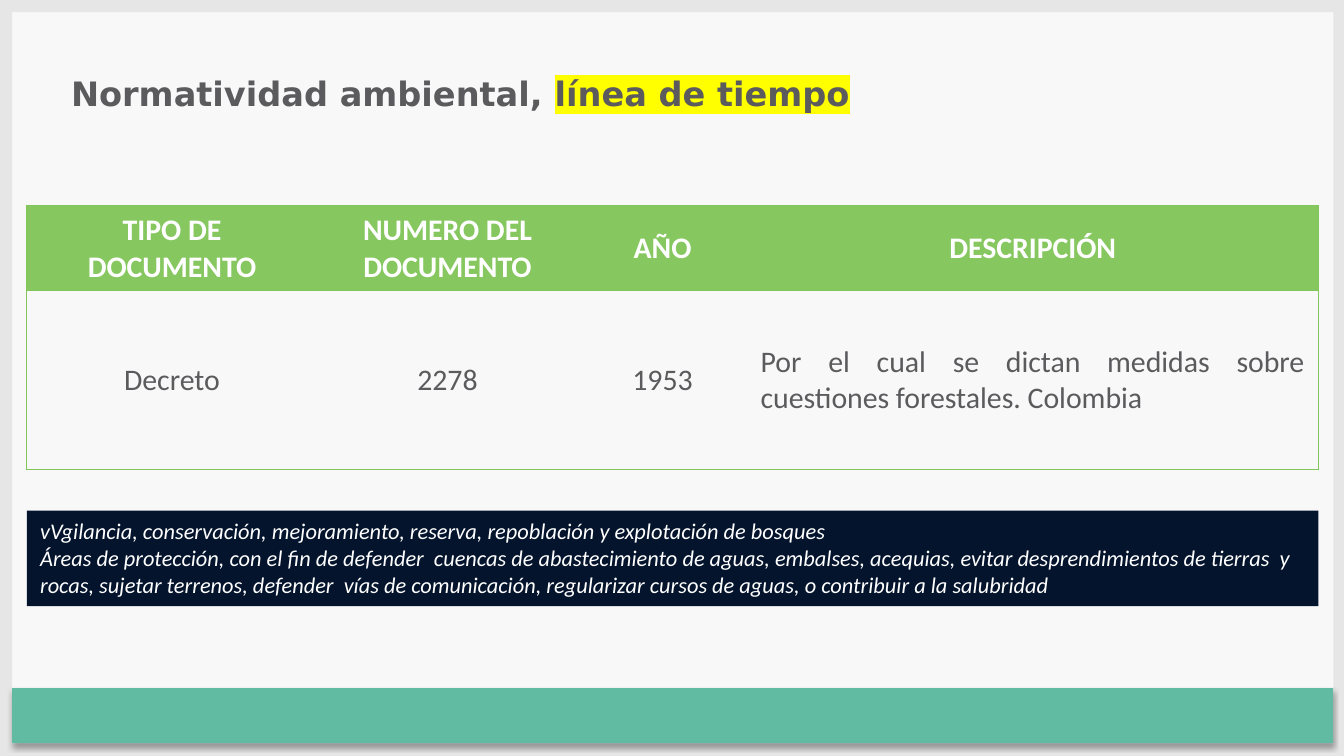
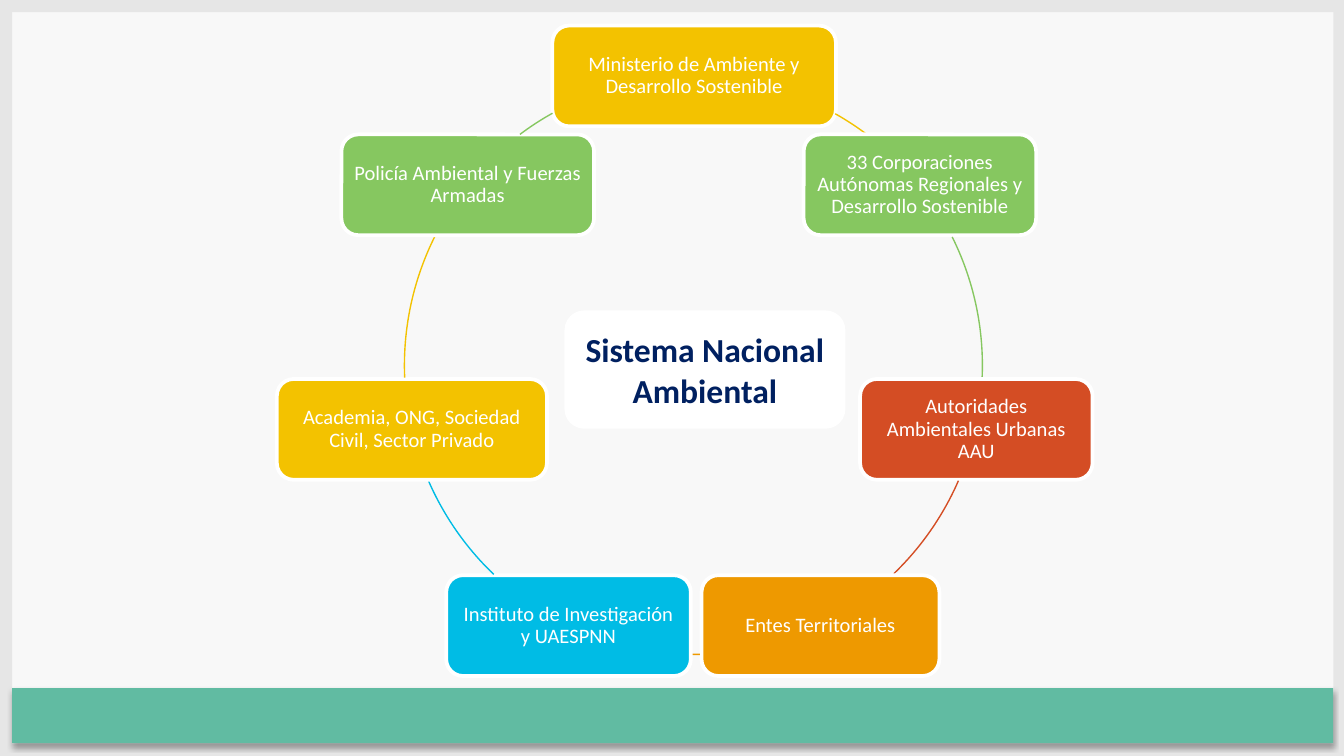
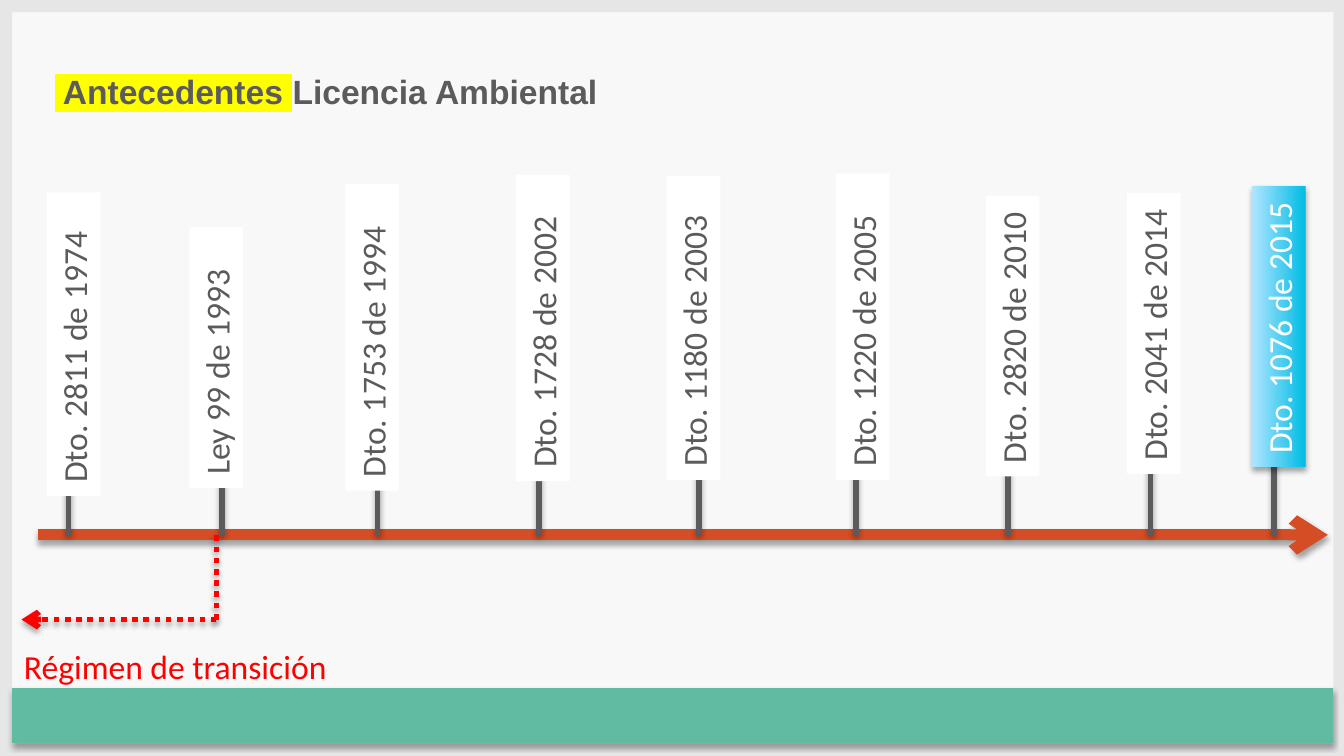
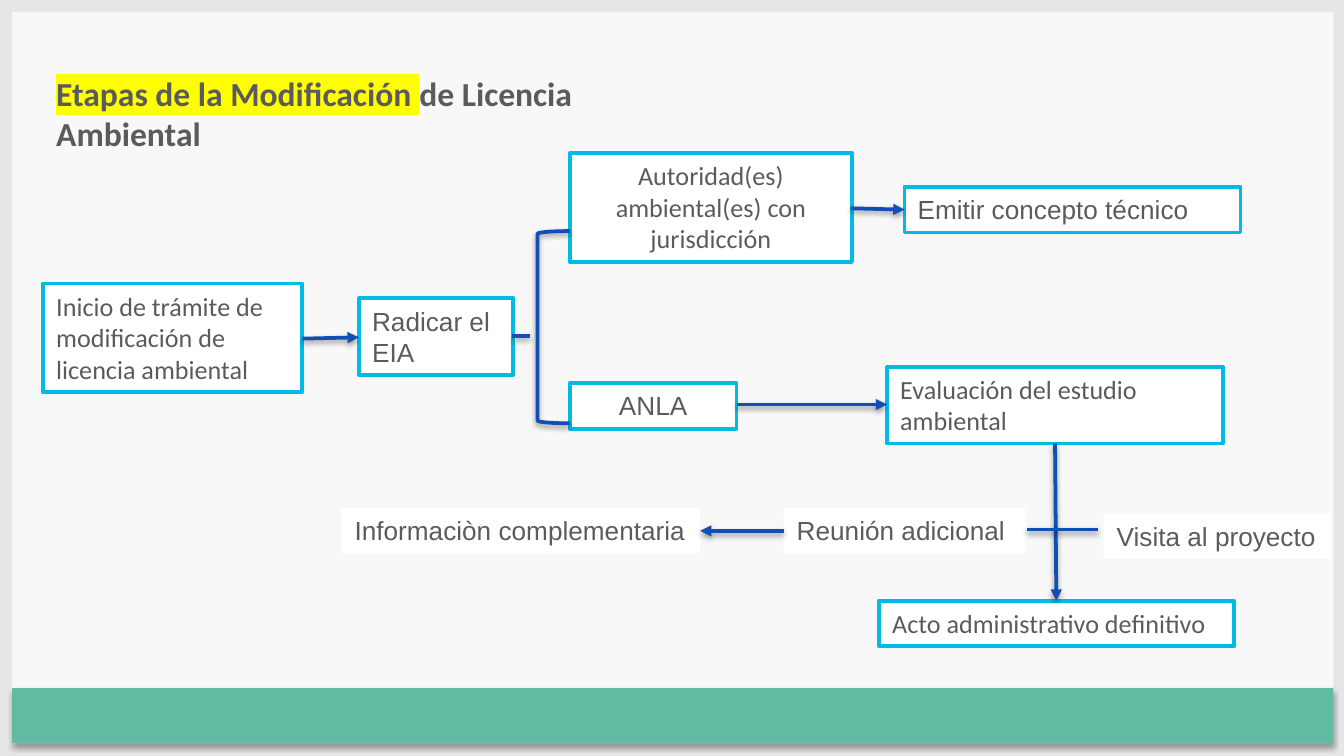
import lxml.etree
import pptx
import pptx.dml.color
import pptx.enum.dml
import pptx.enum.shapes
import pptx.enum.text
import pptx.oxml
import pptx.oxml.ns
import pptx.util

PX = 9144  # EMU in one px, 100 px to the inch
WIDTH, HEIGHT = 1000, 1000 * 9 / 16

# Shared colours
PAPER, FRAME, BAND = "F8F8F8", "E6E6E6", "61BBA2"
WHITE, GREY, NAVY, INK = "FFFFFF", "5B5B5E", "002060", "04142D"
GREEN, YELLOW, RUST, ORANGE, CYAN = "86C760", "F3C200", "D44D24", "EE9900", "00BCE5"
SKY, RED, BLUE, RULE, MARKER = "B0E5FF", "FF0000", "104FB3", "82C55B", "FFFF00"

# Shared formats
SHADOW = (35, 3.1, 1.8)  # opacity, blur, distance
FLOW_SHADOW = (38, 3.1, 1.6)
CENTER = {"alignment": pptx.enum.text.PP_ALIGN.CENTER}
JUSTIFY = {"alignment": pptx.enum.text.PP_ALIGN.JUSTIFY}
TOP = pptx.enum.text.MSO_ANCHOR.TOP
MIDDLE = pptx.enum.text.MSO_ANCHOR.MIDDLE
SHAPE = pptx.enum.shapes.MSO_SHAPE


def px(*lengths):
    return [pptx.util.Emu(round(length * PX)) for length in lengths]


def rgb(color):
    return pptx.dml.color.RGBColor.from_string(color)


def font(size, name="Calibri", **more):
    return {"size": pptx.util.Pt(size), "name": name, **more}


def set_all(target, values):
    for name, value in values.items():
        setattr(target, name, value)


def add_xml(parent, tag, **attributes):
    return lxml.etree.SubElement(parent, pptx.oxml.ns.qn(tag), attributes)


# Text
def write(frame, paras, style, color, layout=None):
    """Each paragraph is a list of (text, marked) spans or plain text."""
    for index, spans in enumerate(paras):
        para = frame.paragraphs[0] if index == 0 else frame.add_paragraph()
        set_all(para, {"alignment": pptx.enum.text.PP_ALIGN.LEFT, **(layout or {})})
        for text, marked in [(spans, False)] if isinstance(spans, str) else spans:
            span = para.add_run()
            span.text = text
            set_all(span.font, style)
            span.font.color.rgb = rgb(color)
            if marked:
                highlight = pptx.oxml.parse_xml(
                    f'<a:highlight {pptx.oxml.ns.nsdecls("a")}>'
                    f'<a:srgbClr val="{MARKER}"/></a:highlight>')
                span.font.fill._xPr.find(pptx.oxml.ns.qn("a:solidFill")).addnext(highlight)


def fit(frame, wrap=True):
    set_all(frame, {"word_wrap": wrap, "vertical_anchor": TOP,
                    "auto_size": pptx.enum.text.MSO_AUTO_SIZE.SHAPE_TO_FIT_TEXT})


def add_label(page, at, paras, style, color=GREY, layout=None, wrap=True):
    label = page.shapes.add_textbox(*px(*at))
    fit(label.text_frame, wrap)
    write(label.text_frame, paras, style, color, layout)


# Shapes and lines
def cast_shadow(shape, shadow):
    properties = shape.element.spPr
    for old in properties.findall(pptx.oxml.ns.qn("a:effectLst")):
        properties.remove(old)
    effects = add_xml(properties, "a:effectLst")
    if shadow:
        alpha, blur, distance = shadow
        outer = add_xml(effects, "a:outerShdw", blurRad=str(pptx.util.Pt(blur)),
                        dist=str(pptx.util.Pt(distance)), dir="5400000", rotWithShape="0")
        add_xml(add_xml(outer, "a:srgbClr", val="000000"), "a:alpha", val=str(alpha * 1000))


def add_box(page, at, fill=None, line=None, weight=2, kind=SHAPE.RECTANGLE, shadow=None):
    box = page.shapes.add_shape(kind, *px(*at))
    if fill:
        box.fill.solid()
        box.fill.fore_color.rgb = rgb(fill)
    else:
        box.fill.background()
    if line:
        box.line.color.rgb = rgb(line)
        box.line.width = pptx.util.Pt(weight)
    else:
        box.line.fill.background()
    cast_shadow(box, shadow)
    return box


def add_text_box(page, at, paras, style, color=GREY, layout=None, wrap=True, **look):
    box = add_box(page, at, **look)
    fit(box.text_frame, wrap)
    write(box.text_frame, paras, style, color, layout)
    return box


def add_rounded(page, at, text, style, color, layout, inset, **look):
    box = add_box(page, at, kind=SHAPE.ROUNDED_RECTANGLE, **look)
    margin, = px(inset)
    set_all(box.text_frame, {"word_wrap": True, "vertical_anchor": MIDDLE,
                             "margin_left": margin, "margin_right": margin,
                             "margin_top": margin, "margin_bottom": margin})
    write(box.text_frame, [text], style, color, layout)


def add_line(page, ends, color, weight, head=None, dash=None, shadow=SHADOW):
    line = page.shapes.add_connector(pptx.enum.shapes.MSO_CONNECTOR.STRAIGHT, *px(*ends))
    line.line.color.rgb = rgb(color)
    line.line.width = pptx.util.Pt(weight)
    if dash:
        line.line.dash_style = dash
    if head:
        add_xml(line.line._get_or_add_ln(), "a:tailEnd", type=head)
    cast_shadow(line, shadow)


# Table
def set_borders(cell, sides):
    properties = cell._tc.get_or_add_tcPr()
    for index, side in enumerate(sides):
        border = pptx.oxml.parse_xml(
            f'<a:ln{side} {pptx.oxml.ns.nsdecls("a")} w="9525"><a:solidFill>'
            f'<a:srgbClr val="{RULE}"/></a:solidFill></a:ln{side}>')
        properties.insert(index, border)


def add_grid(page, at, widths, heights, rows):
    table = page.shapes.add_table(len(rows), len(widths), *px(*at)).table
    set_all(table, {"first_row": False, "horz_banding": False})
    table._tbl.tblPr[0].text = "{2D5ABB26-0587-4C30-8999-92F81FD0307C}"
    for column, width in zip(table.columns, px(*widths)):
        column.width = width
    for row, height in zip(table.rows, px(*heights)):
        row.height = height
    last_row, last_column = len(rows) - 1, len(widths) - 1
    for r, texts in enumerate(rows):
        for c, text in enumerate(texts):
            cell = table.cell(r, c)
            cell.vertical_anchor = MIDDLE
            if r == 0:
                cell.fill.solid()
                cell.fill.fore_color.rgb = rgb(GREEN)
            else:
                cell.fill.background()
            layout = JUSTIFY if r and c == last_column else CENTER
            write(cell.text_frame, [text], font(16, bold=r == 0), GREY if r else WHITE, layout)
            set_borders(cell, "L" * (c == 0) + "R" * (c == last_column) + "T"
                        + "B" * (r == last_row))


# Page with its frame and bottom band
def add_page(deck):
    page = deck.slides.add_slide(deck.slide_layouts[6])
    page.background.fill.solid()
    page.background.fill.fore_color.rgb = rgb(PAPER)
    for strip in ((0, 0, WIDTH, 9), (0, HEIGHT - 9, WIDTH, 9),
                  (0, 0, 9, HEIGHT), (WIDTH - 8, 0, 8, HEIGHT)):
        add_box(page, strip, FRAME)
    add_box(page, (9, 512, 983, 41), BAND, shadow=SHADOW)
    return page


def build_regulations(page):
    add_label(page, (43, 49, 911, 40),
              [[("Normatividad ambiental, ", False), ("línea de tiempo", True)]],
              font(18, "DejaVu Sans", bold=True))
    add_grid(page, (20, 153, 961, 197), (216, 194, 126, 425), (61, 133), (
        ("TIPO DE DOCUMENTO", "NUMERO DEL DOCUMENTO", "AÑO", "DESCRIPCIÓN"),
        ("Decreto", "2278", "1953",
         "Por el cual se dictan medidas sobre cuestiones forestales. Colombia")))
    add_text_box(page, (20, 380, 961, 71), (
        "vVgilancia, conservación, mejoramiento, reserva, repoblación y explotación de bosques",
        "Áreas de protección, con el fin de defender  cuencas de abastecimiento de aguas, "
        "embalses, acequias, evitar desprendimientos de tierras  y rocas, sujetar terrenos, "
        "defender  vías de comunicación, regularizar cursos de aguas, o contribuir a la "
        "salubridad"), font(12, italic=True), WHITE, fill=INK)


def build_system(page):
    # Members clockwise: text, left, top, width, colour, arc to the next (degrees)
    members = (
        ("Ministerio de Ambiente y Desarrollo Sostenible", 411, 19, 211, YELLOW, 299.4, 307.1),
        ("33 Corporaciones Autónomas Regionales y Desarrollo Sostenible",
         598, 100, 173, GREEN, 333.6, 2.4),
        ("Autoridades Ambientales Urbanas AAU", 640, 282, 173, RUST, 23.5, 46.1),
        ("Entes Territoriales", 522, 428, 177, ORANGE, 88.7, 90.5),
        ("Instituto de Investigación y UAESPNN", 332, 428, 182, CYAN, 133.7, 156.4),
        ("Academia, ONG, Sociedad Civil, Sector Privado", 206, 282, 201, YELLOW, 177.6, 206.6),
        ("Policía Ambiental y Fuerzas Armadas", 254, 100, 188, GREEN, 233.1, 240.8))
    for text, left, top, width, color, start, end in members:
        add_rounded(page, (left, top, width, 75), text, font(11), WHITE,
                    {**CENTER, "line_spacing": 0.9}, 5, fill=color, line=WHITE)
        arc = add_box(page, (301, 57, 430, 430), line=color, weight=0.75, kind=SHAPE.ARC)
        for index, angle in enumerate((start, end)):
            arc.adjustments[index] = angle * 0.6
    add_rounded(page, (420, 231, 209, 88), "Sistema Nacional Ambiental",
                font(18, bold=True), NAVY, CENTER, 9, fill=WHITE)


def build_timeline(page):
    axis = 398
    add_line(page, (28, axis, 988, axis), RUST, 6, "arrow")
    # Milestones: text, label left, top and width before turning, stem position
    milestones = (
        ("Dto. 2811 de 1974", -58, 236, 226, 51),
        ("Ley 99 de 1993", 64, 246, 194, 165),
        ("Dto. 1753 de 1994", 163, 231, 228, 281),
        ("Dto. 1728 de 2002", 290, 224, 228, 401),
        ("Dto. 1180 de 2003", 403, 224, 226, 520),
        ("Dto. 1220 de 2005", 528, 223, 228, 637),
        ("Dto. 2820 de 2010", 649, 230, 209, 750),
        ("Dto. 2041 de 2014", 754, 228, 209, 856),
        ("Dto. 1076 de 2015", 847, 223, 209, 948))
    for text, left, top, width, stem in milestones:
        current = text == milestones[-1][0]
        add_line(page, (stem, axis, stem, axis - 56), GREY, 3)
        label = add_text_box(page, (left, top, width, 40), [text], font(18),
                             WHITE if current else GREY, wrap=False, fill=WHITE,
                             shadow=SHADOW if current else None)
        label.rotation = 270
        if current:
            label.fill.gradient()
            label.fill.gradient_angle = 90
            for stop, color in zip(label.fill.gradient_stops, (CYAN, SKY)):
                stop.color.rgb = rgb(color)

    # Transition period
    dots = pptx.enum.dml.MSO_LINE.ROUND_DOT
    add_line(page, (161, 461, 16, 461), RED, 3, "arrow", dots)
    add_line(page, (161, 461, 161, axis), RED, 3, dash=dots)
    add_label(page, (8, 476, 271, 40), ["Régimen de transición"], font(18), RED, wrap=False)
    add_label(page, (31, 46, 500, 41),
              [[(" Antecedentes ", True), ("Licencia Ambiental", False)]],
              font(18, "Arial", bold=True),
              layout={**JUSTIFY, "line_spacing": 1.07, "space_after": pptx.util.Pt(8)})


def build_stages(page):
    add_label(page, (32, 49, 500, 71),
              [[("Etapas de la Modificación ", True), ("de Licencia Ambiental", False)]],
              font(18, bold=True))

    # Framed steps
    steps = (
        ("Inicio de trámite de modificación de  licencia ambiental",
         (32, 211, 193, 81), "Calibri", None),
        ("Radicar el EIA", (267, 222, 115, 57), "Arial", None),
        ("ANLA", (424, 285, 124, 34), "Arial", CENTER),
        ("Autoridad(es) ambiental(es) con jurisdicción",
         (424, 114, 210, 81), "Calibri", CENTER),
        ("Evaluación del estudio ambiental", (660, 273, 250, 57), "Calibri", None),
        ("Acto administrativo definitivo", (654, 447, 264, 34), "Calibri", None),
        ("Emitir concepto técnico", (673, 139, 250, 34), "Arial", None))
    for text, at, name, layout in steps:
        add_text_box(page, at, [text], font(14, name), layout=layout, fill=WHITE, line=CYAN)

    # Plain steps
    for text, at in (("Reunión adicional", (583, 378, 180, 34)),
                     ("Visita al proyecto", (821, 382, 169, 34)),
                     ("Informaciòn complementaria", (254, 378, 267, 34))):
        add_text_box(page, at, [text], font(14, "Arial"), wrap=False, fill=WHITE)

    # Links
    add_box(page, (400, 172, 24, 143), line=BLUE, kind=SHAPE.LEFT_BRACKET, shadow=FLOW_SHADOW)
    for ends, head in (((225, 252, 267, 251), "triangle"),
                       ((381, 250, 394, 250), None),
                       ((548, 301, 660, 301), "triangle"),
                       ((785, 330, 786, 447), "triangle"),
                       ((817, 394, 764, 394), None),
                       ((633, 155, 673, 156), "triangle"),
                       ((583, 395, 521, 395), "triangle")):
        add_line(page, ends, BLUE, 2, head, shadow=FLOW_SHADOW)


def main():
    deck = pptx.Presentation()
    deck.slide_width, deck.slide_height = px(WIDTH, HEIGHT)
    for build in (build_regulations, build_system, build_timeline, build_stages):
        build(add_page(deck))
    deck.save("out.pptx")


if __name__ == "__main__":
    main()
